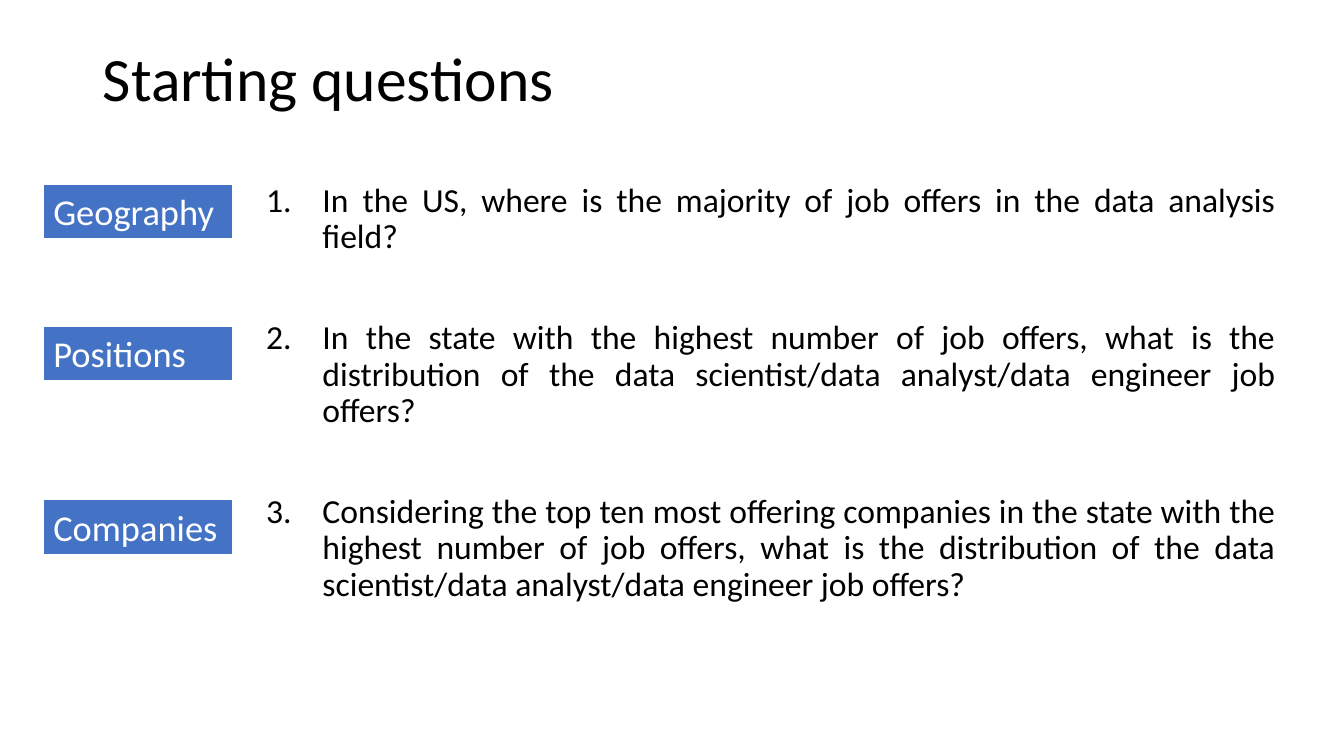
from lxml.etree import SubElement
from pptx import Presentation
from pptx.dml.color import RGBColor
from pptx.enum.shapes import MSO_SHAPE
from pptx.enum.text import MSO_ANCHOR, MSO_AUTO_SIZE, PP_ALIGN
from pptx.oxml.ns import qn
from pptx.util import Inches, Pt

COLORS = {"text": "000000", "label": "4472C4", "light": "FFFFFF"}
FONT = "Calibri"
INDENT = Inches(0.56)
LABEL_LEFT, LABEL_WIDTH, LABEL_HEIGHT = 0.43, 1.88, 0.54

TOPICS = [
    ("Geography", 1.83,
     "In the US, where is the majority of job offers in the data analysis field?"),
    ("Positions", 3.24,
     "In the state with the highest number of job offers, what is the distribution "
     "of the data scientist/data analyst/data engineer job offers?"),
    ("Companies", 4.96,
     "Considering the top ten most offering companies in the state with the highest "
     "number of job offers, what is the distribution of the data scientist/data "
     "analyst/data engineer job offers?"),
]


def rgb(role):
    return RGBColor.from_string(COLORS[role])


def format_paragraph(paragraph, size, role, align):
    paragraph.alignment = align
    for run in paragraph.runs:
        run.font.name = FONT
        run.font.size = Pt(size)
        run.font.color.rgb = rgb(role)


def set_title(slide, wording):
    title = slide.shapes.title
    title.left, title.top = Inches(0.92), Inches(0.08)
    title.width, title.height = Inches(11.5), Inches(1.45)
    frame = title.text_frame
    frame.text = wording
    frame.auto_size = MSO_AUTO_SIZE.NONE
    frame.vertical_anchor = MSO_ANCHOR.MIDDLE
    frame.paragraphs[0].line_spacing = 0.9
    format_paragraph(frame.paragraphs[0], 44, "text", PP_ALIGN.LEFT)


def number_paragraph(paragraph):
    properties = paragraph._p.get_or_add_pPr()
    properties.set("marL", str(INDENT))
    properties.set("indent", str(-INDENT))
    SubElement(properties, qn("a:buFont"), typeface="+mj-lt")
    SubElement(properties, qn("a:buAutoNum"), type="arabicPeriod")


def add_questions(slide, questions):
    body = slide.shapes.add_textbox(
        Inches(2.54), Inches(1.77), Inches(10.21), Inches(4.76))
    frame = body.text_frame
    frame.word_wrap = True
    frame.text = "\n".join(questions)
    for index, question in enumerate(frame.paragraphs):
        question.line_spacing = 0.9
        question.space_before = Pt(46.4 if index else 10)
        format_paragraph(question, 24, "text", PP_ALIGN.JUSTIFY)
        number_paragraph(question)


def add_label(slide, wording, top):
    label = slide.shapes.add_shape(
        MSO_SHAPE.RECTANGLE, Inches(LABEL_LEFT), Inches(top),
        Inches(LABEL_WIDTH), Inches(LABEL_HEIGHT))
    label.shadow.inherit = False
    label.fill.solid()
    label.fill.fore_color.rgb = rgb("label")
    label.line.color.rgb = rgb("light")
    label.line.width = Pt(0.75)
    frame = label.text_frame
    frame.text = wording
    frame.word_wrap = True
    frame.auto_size = MSO_AUTO_SIZE.SHAPE_TO_FIT_TEXT
    frame.vertical_anchor = MSO_ANCHOR.TOP
    format_paragraph(frame.paragraphs[0], 26, "light", PP_ALIGN.LEFT)


def main():
    deck = Presentation()
    deck.slide_width, deck.slide_height = Inches(13.33), Inches(7.5)
    slide = deck.slides.add_slide(deck.slide_layouts.get_by_name("Title Only"))
    set_title(slide, "Starting questions")
    add_questions(slide, [question for _, _, question in TOPICS])
    for topic, top, _ in TOPICS:
        add_label(slide, topic, top)
    deck.save("out.pptx")


main()
